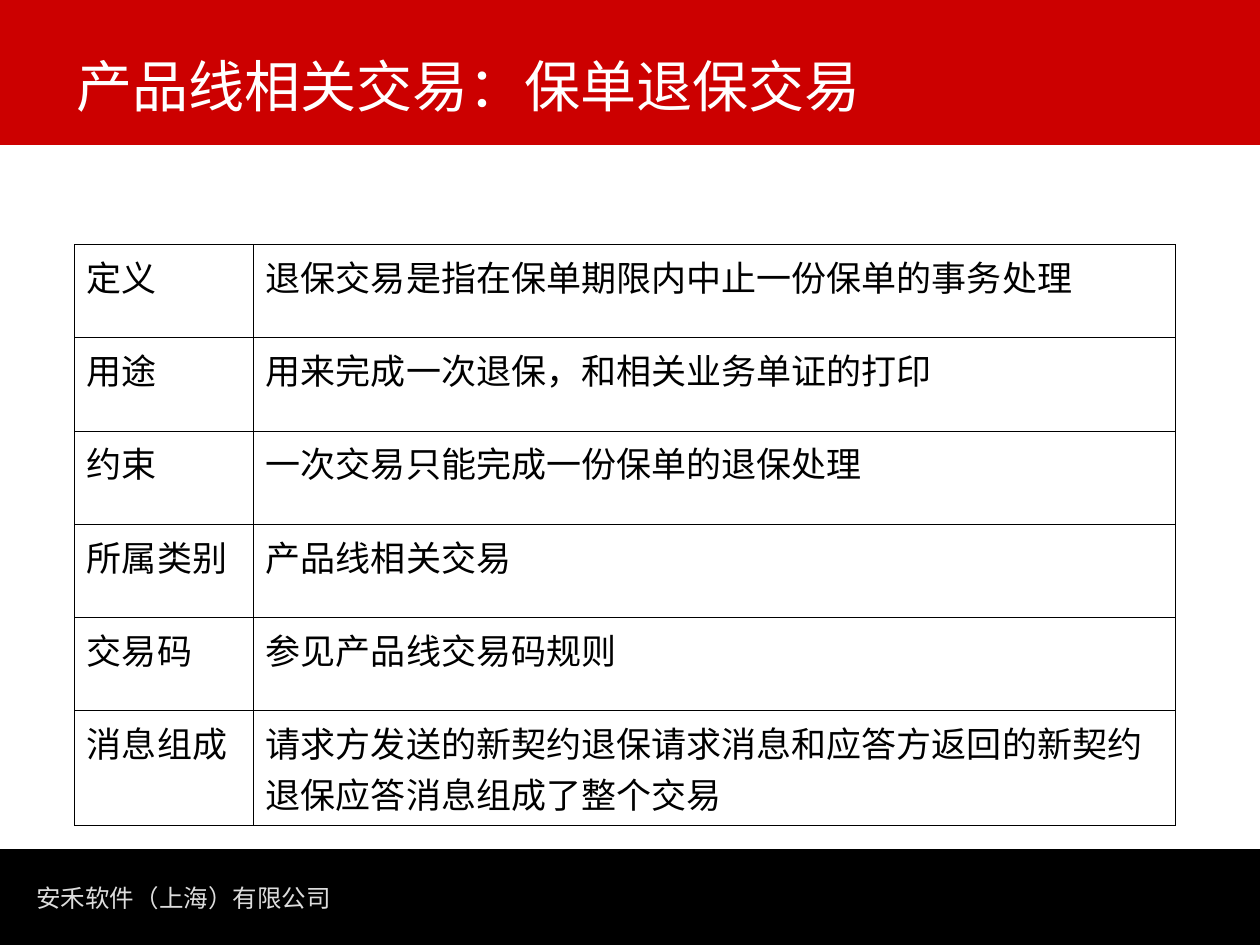
from dataclasses import dataclass

from lxml.etree import SubElement
from pptx import Presentation
from pptx.dml.color import RGBColor as Color
from pptx.enum.shapes import MSO_SHAPE as Shape
from pptx.enum.text import MSO_ANCHOR as Anchor
from pptx.oxml.ns import qn
from pptx.util import Inches, Pt

TITLE = "产品线相关交易：保单退保交易"
COMPANY = "安禾软件（上海）有限公司"
ROWS = [
    ("定义", "退保交易是指在保单期限内中止一份保单的事务处理"),
    ("用途", "用来完成一次退保，和相关业务单证的打印"),
    ("约束", "一次交易只能完成一份保单的退保处理"),
    ("所属类别", "产品线相关交易"),
    ("交易码", "参见产品线交易码规则"),
    ("消息组成", "请求方发送的新契约退保请求消息和应答方返回的新契约退保应答消息组成了整个交易"),
]
COLUMN_WIDTHS = (1.42, 7.32)
ROW_HEIGHTS = [0.74] * (len(ROWS) - 1) + [0.91]


@dataclass(frozen=True)
class Theme:
    red: str = "CC0000"
    black: str = "000000"
    white: str = "FFFFFF"
    gray: str = "DDDDDD"
    title_size: int = 32
    table_size: int = 20
    footer_size: int = 14
    title_font: str = "Noto Sans CJK SC"
    table_font: str = "Times New Roman"
    footer_font: str = "DejaVu Sans"
    chinese_font: str = "Noto Sans CJK SC"
    border_width: float = 0.45


THEME = Theme()


def write(frame, text, font, size, color):
    frame.text = text
    for para in frame.paragraphs:
        for span in para.runs:
            span.font.name = font
            span.font.size = Pt(size)
            span.font.color.rgb = Color.from_string(color)
            east_asian = SubElement(span.font._element, qn("a:ea"))
            east_asian.set("typeface", THEME.chinese_font)


def add_band(page, top, height, color):
    band = page.shapes.add_shape(
        Shape.RECTANGLE, 0, Inches(top), Inches(10), Inches(height))
    band.shadow.inherit = False
    band.fill.solid()
    band.fill.fore_color.rgb = Color.from_string(color)
    band.line.fill.background()
    return band


def add_text(page, place, text, font, size, color, wrap=True, anchor=Anchor.TOP):
    box = page.shapes.add_textbox(*map(Inches, place))
    box.text_frame.word_wrap = wrap
    box.text_frame.vertical_anchor = anchor
    write(box.text_frame, text, font, size, color)


def add_borders(cell):
    properties = cell._tc.get_or_add_tcPr()
    for position, side in enumerate(("lnL", "lnR", "lnT", "lnB")):
        line = SubElement(properties, qn(f"a:{side}"), w=str(Pt(THEME.border_width)))
        fill = SubElement(line, qn("a:solidFill"))
        SubElement(fill, qn("a:srgbClr"), val=THEME.black)
        properties.insert(position, line)


def add_definition_table(page):
    table = page.shapes.add_table(
        len(ROWS), len(COLUMN_WIDTHS), Inches(0.59), Inches(1.94),
        Inches(sum(COLUMN_WIDTHS)), Inches(sum(ROW_HEIGHTS))).table
    table.first_row = table.horz_banding = False
    for column, width in zip(table.columns, COLUMN_WIDTHS):
        column.width = Inches(width)
    for row, height, texts in zip(table.rows, ROW_HEIGHTS, ROWS):
        row.height = Inches(height)
        for cell, text in zip(row.cells, texts):
            cell.fill.background()
            add_borders(cell)
            write(cell.text_frame, text, THEME.table_font, THEME.table_size, THEME.black)


def main():
    deck = Presentation()
    deck.slide_width, deck.slide_height = Inches(10), Inches(7.5)
    page = deck.slides.add_slide(deck.slide_layouts[6])
    footer = add_band(page, 6.74, 0.76, THEME.black)
    footer.line.color.rgb = Color.from_string(THEME.black)
    footer.line.width = Pt(0.75)
    add_band(page, 0, 1.15, THEME.red)
    add_text(page, (0.19, 6.96, 2.54, 0.34), COMPANY, THEME.footer_font,
             THEME.footer_size, THEME.gray, wrap=False)
    add_text(page, (0.51, 0.05, 8.75, 0.94), TITLE, THEME.title_font,
             THEME.title_size, THEME.white, anchor=Anchor.BOTTOM)
    add_definition_table(page)
    deck.save("out.pptx")


if __name__ == "__main__":
    main()
